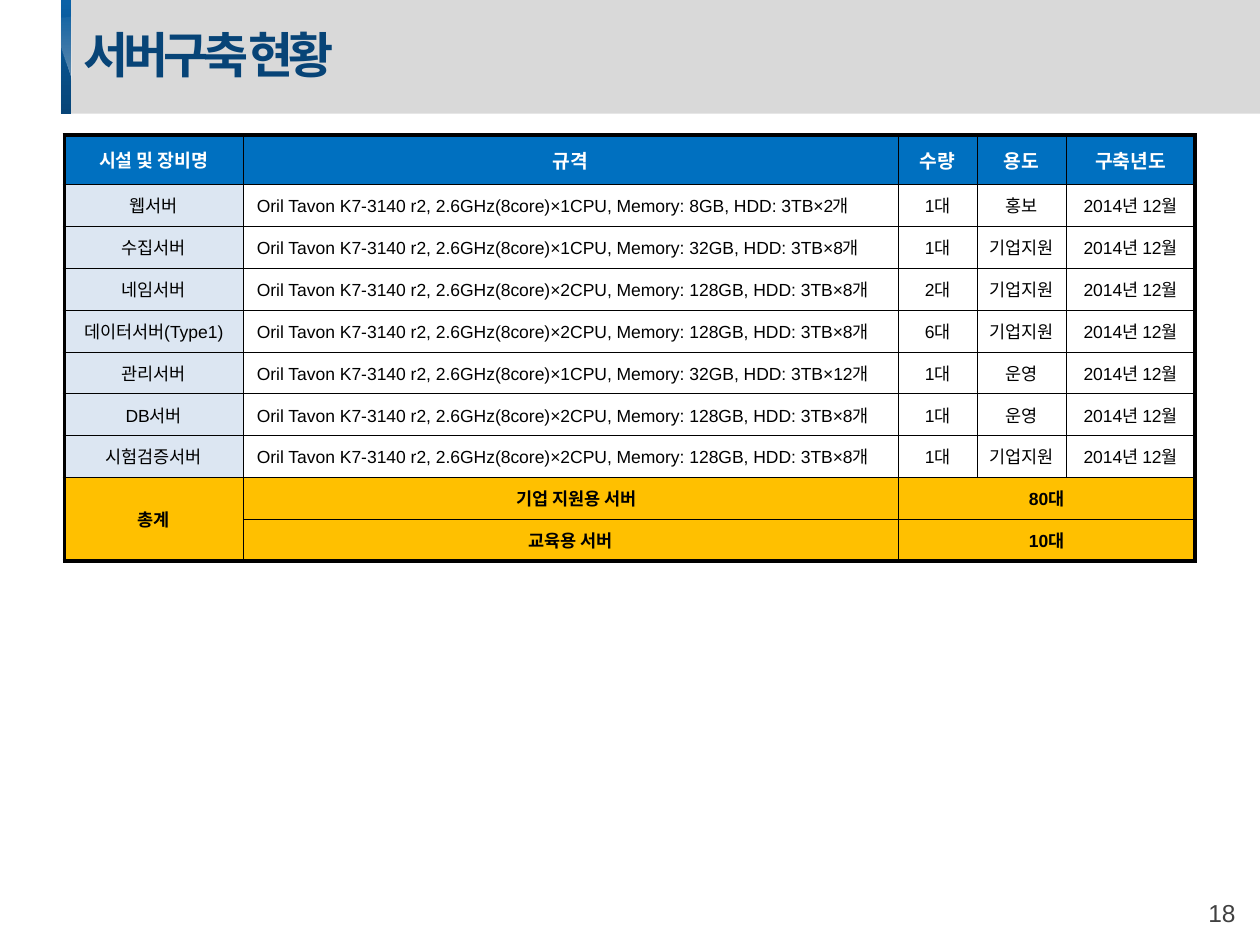
from lxml import etree
from pptx import Presentation
from pptx.dml.color import RGBColor
from pptx.enum.shapes import MSO_SHAPE
from pptx.enum.text import MSO_ANCHOR, PP_ALIGN
from pptx.oxml.ns import qn
from pptx.util import Pt

LEFT, CENTER = PP_ALIGN.LEFT, PP_ALIGN.CENTER
MIDDLE = MSO_ANCHOR.MIDDLE
RECTANGLE = MSO_SHAPE.RECTANGLE

COLORS = {
    "band": "D9D9D9", "accent_top": "0A61A6", "accent_bottom": "074477",
    "title": "074477", "page": "404040", "header": "0070C0",
    "name": "DCE6F2", "total": "FFC000", "white": "FFFFFF", "black": "000000",
}

TITLE = "서버구축 현황"
PAGE_NUMBER = "18"
HEADER = ["시설 및 장비명", "규격", "수량", "용도", "구축년도"]
CPU = "Oril Tavon K7-3140 r2, 2.6GHz(8core)"
BUILT = "2014년 12월"
SERVERS = [
    ("웹서버", 1, "8GB", 2, "1대", "홍보"),
    ("수집서버", 1, "32GB", 8, "1대", "기업지원"),
    ("네임서버", 2, "128GB", 8, "2대", "기업지원"),
    ("데이터서버(Type1)", 2, "128GB", 8, "6대", "기업지원"),
    ("관리서버", 1, "32GB", 12, "1대", "운영"),
    ("DB서버", 2, "128GB", 8, "1대", "운영"),
    ("시험검증서버", 2, "128GB", 8, "1대", "기업지원"),
]
TOTALS = [
    ["총계", "기업 지원용 서버", "80대", "", ""],
    ["", "교육용 서버", "10대", "", ""],
]

COLUMN_WIDTHS = [102.2, 374.4, 45, 51.1, 73.4]
HEADER_HEIGHT, ROW_HEIGHT = 28.3, 23.9
TABLE_LEFT, TABLE_TOP = 36.7, 77.1
OUTER_LINE, INNER_LINE = 2.25, 0.25
BAND_LEFT, BAND_HEIGHT, ACCENT_WIDTH = 34.8, 65, 6
GLOSS = [(40.8, 9.4), (34.8, 10.1), (34.8, 25.2), (40.8, 46)]


def rgb(name):
    return RGBColor.from_string(COLORS[name])


def write(frame, text, size=10, color="black", bold=False, align=LEFT,
          indent=0, spacing=0, line=None):
    paragraph = frame.paragraphs[0]
    paragraph.alignment = align
    if line:
        paragraph.line_spacing = line
    if indent:
        paragraph._p.get_or_add_pPr().set("marL", str(Pt(indent)))
    run = paragraph.add_run()
    run.text = text
    run.font.name = "Arial"
    run.font.size = Pt(size)
    run.font.bold = bold
    run.font.color.rgb = rgb(color)
    if spacing:
        run._r.get_or_add_rPr().set("spc", str(spacing * 100))


def fill_down(shape, top, bottom, opacities=()):
    shape.fill.gradient()
    shape.fill.gradient_angle = 270
    for stop, position, name in zip(shape.fill.gradient_stops, (0, 1), (top, bottom)):
        stop.position = position
        stop.color.rgb = rgb(name)
    tints = shape.element.spPr.iter(qn("a:srgbClr"))
    for tint, opacity in zip(tints, opacities):
        etree.SubElement(tint, qn("a:alpha")).set("val", str(opacity * 1000))


def flatten(shape):
    shape.shadow.inherit = False
    shape.line.fill.background()


def add_band(slide):
    band = slide.shapes.add_shape(
        RECTANGLE, Pt(BAND_LEFT), 0, Pt(720 - BAND_LEFT), Pt(BAND_HEIGHT))
    band.fill.solid()
    band.fill.fore_color.rgb = rgb("band")
    accent = slide.shapes.add_shape(
        RECTANGLE, Pt(BAND_LEFT), 0, Pt(ACCENT_WIDTH), Pt(BAND_HEIGHT))
    fill_down(accent, "accent_top", "accent_bottom")
    points = [(Pt(x), Pt(y)) for x, y in GLOSS]
    builder = slide.shapes.build_freeform(*points[0])
    builder.add_line_segments(points[1:], close=True)
    gloss = builder.convert_to_shape()
    fill_down(gloss, "white", "white", (5, 37))
    for shape in (band, accent, gloss):
        flatten(shape)


def add_label(slide, box, text, wrap=True, margins=None, **style):
    frame = slide.shapes.add_textbox(*map(Pt, box)).text_frame
    frame.word_wrap = wrap
    frame.vertical_anchor = MIDDLE
    if margins is not None:
        frame.margin_left = frame.margin_right = Pt(margins)
        frame.margin_top = frame.margin_bottom = Pt(margins)
    write(frame, text, **style)


def set_borders(cell, widths):
    properties = cell._tc.get_or_add_tcPr()
    for index, (side, width) in enumerate(zip("LRTB", widths)):
        line = etree.Element(qn("a:ln" + side), w=str(Pt(width)))
        fill = etree.SubElement(line, qn("a:solidFill"))
        etree.SubElement(fill, qn("a:srgbClr"), val=COLORS["black"])
        properties.insert(index, line)


def cell_style(row, column, first_total):
    if row == 0:
        size = 11 if column else 10.5
        return "header", dict(size=size, color="white", bold=True, align=CENTER)
    indent = 6.5 if column == 1 and row <= first_total else 0
    if row >= first_total:
        return "total", dict(bold=True, align=CENTER, indent=indent)
    background = "white" if column else "name"
    return background, dict(align=LEFT if column == 1 else CENTER, indent=indent)


def add_server_table(slide):
    servers = [
        [name, f"{CPU}×{cpus}CPU, Memory: {memory}, HDD: 3TB×{disks}개", count, use, BUILT]
        for name, cpus, memory, disks, count, use in SERVERS
    ]
    rows = [HEADER] + servers + TOTALS
    heights = [HEADER_HEIGHT] + [ROW_HEIGHT] * (len(rows) - 1)
    first_total = 1 + len(servers)
    last_row, last_column = len(rows) - 1, len(HEADER) - 1
    table = slide.shapes.add_table(
        len(rows), len(HEADER), Pt(TABLE_LEFT), Pt(TABLE_TOP),
        Pt(sum(COLUMN_WIDTHS)), Pt(sum(heights))).table
    table.first_row = table.horz_banding = False
    for column, width in zip(table.columns, COLUMN_WIDTHS):
        column.width = Pt(width)
    table.cell(first_total, 0).merge(table.cell(last_row, 0))
    for r in range(first_total, len(rows)):
        table.cell(r, 2).merge(table.cell(r, last_column))
    for r, texts in enumerate(rows):
        table.rows[r].height = Pt(heights[r])
        for c, text in enumerate(texts):
            cell = table.cell(r, c)
            background, style = cell_style(r, c, first_total)
            cell.fill.solid()
            cell.fill.fore_color.rgb = rgb(background)
            cell.vertical_anchor = MIDDLE
            cell.margin_left = cell.margin_right = Pt(1.4 if r else 2.9)
            cell.margin_top = cell.margin_bottom = Pt(1.4 if r else 0.7)
            right, bottom = c + cell.span_width - 1, r + cell.span_height - 1
            edges = (c == 0, right == last_column, r == 0, bottom == last_row)
            set_borders(cell, [OUTER_LINE if edge else INNER_LINE for edge in edges])
            if text:
                write(cell.text_frame, text, **style)


def main():
    deck = Presentation()
    deck.slide_width, deck.slide_height = Pt(720), Pt(540)
    slide = deck.slides.add_slide(deck.slide_layouts[6])
    add_band(slide)
    add_label(slide, (690.5, 514.8, 32.4, 13), PAGE_NUMBER, wrap=False,
              margins=0, size=14, color="page")
    add_label(slide, (40.8, 13, 650.2, 39.6), TITLE, size=28, color="title",
              bold=True, spacing=-3, line=0.9)
    add_server_table(slide)
    deck.save("out.pptx")


if __name__ == "__main__":
    main()
